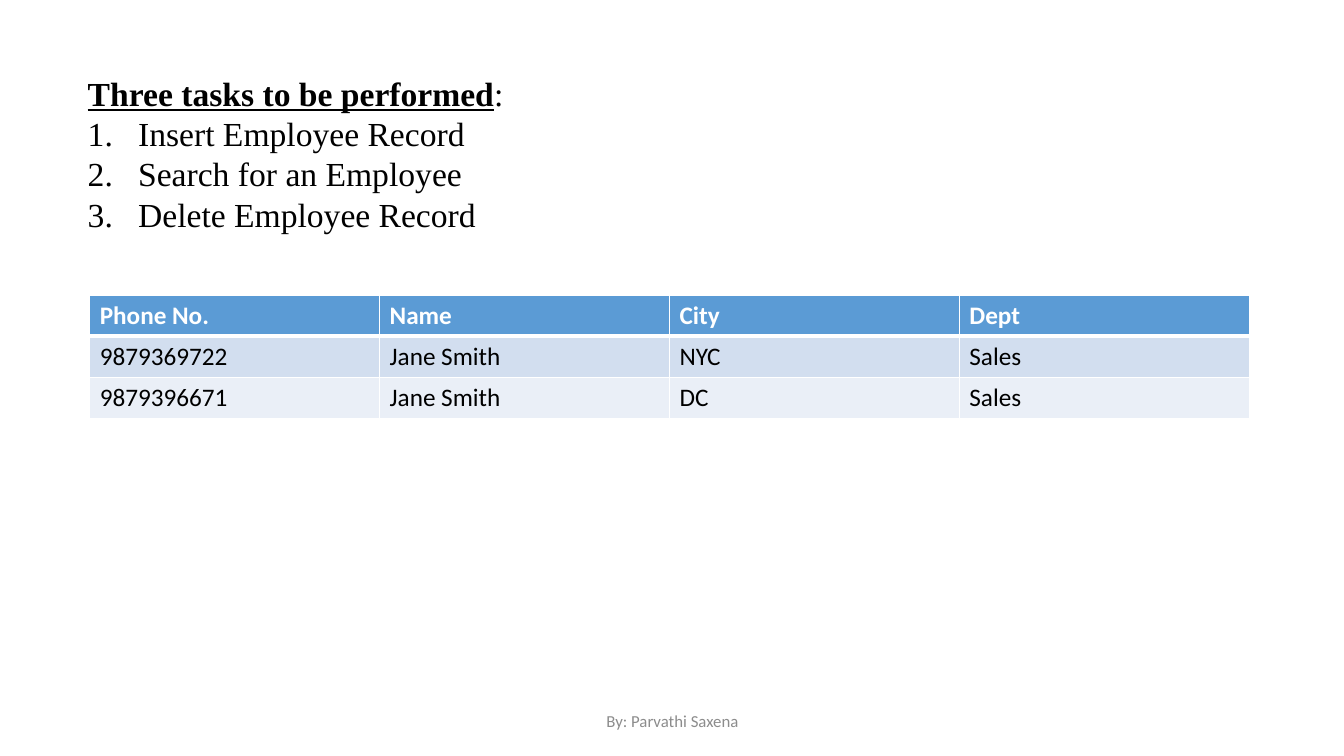
from dataclasses import dataclass

from lxml.etree import SubElement
from pptx import Presentation
from pptx.dml.color import RGBColor as RGB
from pptx.enum.text import MSO_ANCHOR as Anchor, MSO_AUTO_SIZE as AutoSize, PP_ALIGN as Align
from pptx.oxml.ns import qn
from pptx.util import Inches, Pt


@dataclass(frozen=True)
class Theme:
    serif: str = "Times New Roman"
    sans: str = "Calibri"
    text: str = "000000"
    white: str = "FFFFFF"
    header: str = "5B9BD5"
    bands: tuple = ("D2DEEF", "EAEFF7")
    muted: str = "8C8C8C"
    task_size: float = 24
    table_size: float = 18
    footer_size: float = 12
    task_spacing: float = 28.8


THEME = Theme()
TASKS = ["Insert Employee Record", "Search for an Employee", "Delete Employee Record"]
EMPLOYEES = [
    ["Phone No.", "Name", "City", "Dept"],
    ["9879369722", "Jane Smith", "NYC", "Sales"],
    ["9879396671", "Jane Smith", "DC", "Sales"],
]


def apply(target, **values):
    for name, value in values.items():
        setattr(target, name, value)


def add_run(paragraph, text, color, **font):
    run = paragraph.add_run()
    run.text = text
    apply(run.font, **font)
    run.font.color.rgb = RGB.from_string(color)


def place(shape, left, top, width, height):
    apply(shape, left=Inches(left), top=Inches(top), width=Inches(width), height=Inches(height))


def number(paragraph, indent):
    props = paragraph._p.get_or_add_pPr()
    props.set("marL", str(Inches(indent)))
    props.set("indent", str(-Inches(indent)))
    SubElement(props, qn("a:buFontTx"))
    SubElement(props, qn("a:buAutoNum"), type="arabicPeriod")


def add_border(cell, side, width):
    line = SubElement(cell._tc.get_or_add_tcPr(), qn(f"a:ln{side}"), w=str(Pt(width)))
    fill = SubElement(line, qn("a:solidFill"))
    SubElement(fill, qn("a:srgbClr"), val=THEME.white)


# Heading and numbered tasks
def add_tasks(slide, left, top, width, height):
    heading, tasks = slide.shapes.title, slide.placeholders[1]
    line_height = height / (len(TASKS) + 1)
    place(heading, left, top, width, line_height)
    place(tasks, left, top + line_height, width, height - line_height)
    frame_format = dict(margin_top=0, margin_bottom=0, word_wrap=True,
                        auto_size=AutoSize.NONE, vertical_anchor=Anchor.TOP)
    line_format = dict(alignment=Align.LEFT, line_spacing=Pt(THEME.task_spacing),
                       space_before=Pt(0), space_after=Pt(0))
    font = dict(name=THEME.serif, size=Pt(THEME.task_size))
    for part in (heading, tasks):
        apply(part.text_frame, **frame_format)

    title = heading.text_frame.paragraphs[0]
    apply(title, **line_format)
    add_run(title, "Three tasks to be performed", THEME.text, bold=True, underline=True, **font)
    add_run(title, ":", THEME.text, bold=False, underline=False, **font)

    for index, task in enumerate(TASKS):
        frame = tasks.text_frame
        item = frame.add_paragraph() if index else frame.paragraphs[0]
        apply(item, **line_format)
        number(item, 0.5)
        add_run(item, task, THEME.text, **font)


# Employee table
def add_employees(slide, left, top, width, height):
    rows, columns = len(EMPLOYEES), len(EMPLOYEES[0])
    table = slide.shapes.add_table(rows, columns, Inches(left), Inches(top),
                                   Inches(width), Inches(height)).table
    for row, record in enumerate(EMPLOYEES):
        is_header = row == 0
        fill = THEME.header if is_header else THEME.bands[(row - 1) % 2]
        borders = {"L": 1, "R": 1, "T": 3 if row == 1 else 1, "B": 3 if is_header else 1}
        for column, value in enumerate(record):
            cell = table.cell(row, column)
            for side, weight in borders.items():
                add_border(cell, side, weight)
            cell.fill.solid()
            cell.fill.fore_color.rgb = RGB.from_string(fill)
            add_run(cell.text_frame.paragraphs[0], value,
                    THEME.white if is_header else THEME.text,
                    name=THEME.sans, size=Pt(THEME.table_size), bold=is_header)


# Author line
def add_author(slide, left, top, width, height):
    author = slide.shapes.add_textbox(Inches(left), Inches(top), Inches(width), Inches(height))
    apply(author.text_frame, word_wrap=True, vertical_anchor=Anchor.MIDDLE)
    line = author.text_frame.paragraphs[0]
    line.alignment = Align.CENTER
    add_run(line, "By: Parvathi Saxena", THEME.muted,
            name=THEME.sans, size=Pt(THEME.footer_size))


def main():
    deck = Presentation()
    apply(deck, slide_width=Inches(13.33), slide_height=Inches(7.5))
    slide = deck.slides.add_slide(deck.slide_layouts[1])
    add_tasks(slide, 0.77, 0.72, 6.46, 1.6)
    add_employees(slide, 0.89, 2.93, 11.5, 1.22)
    add_author(slide, 4.42, 6.95, 4.5, 0.4)
    deck.save("out.pptx")


if __name__ == "__main__":
    main()
